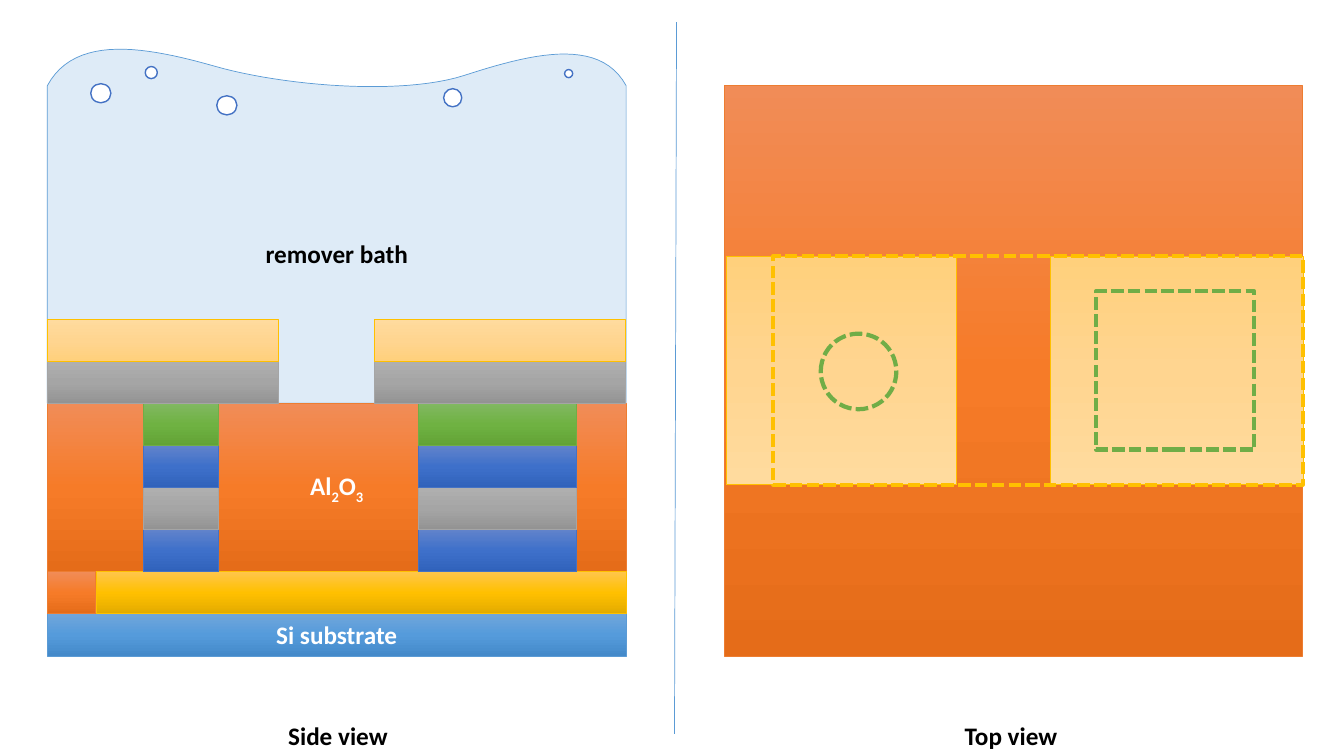
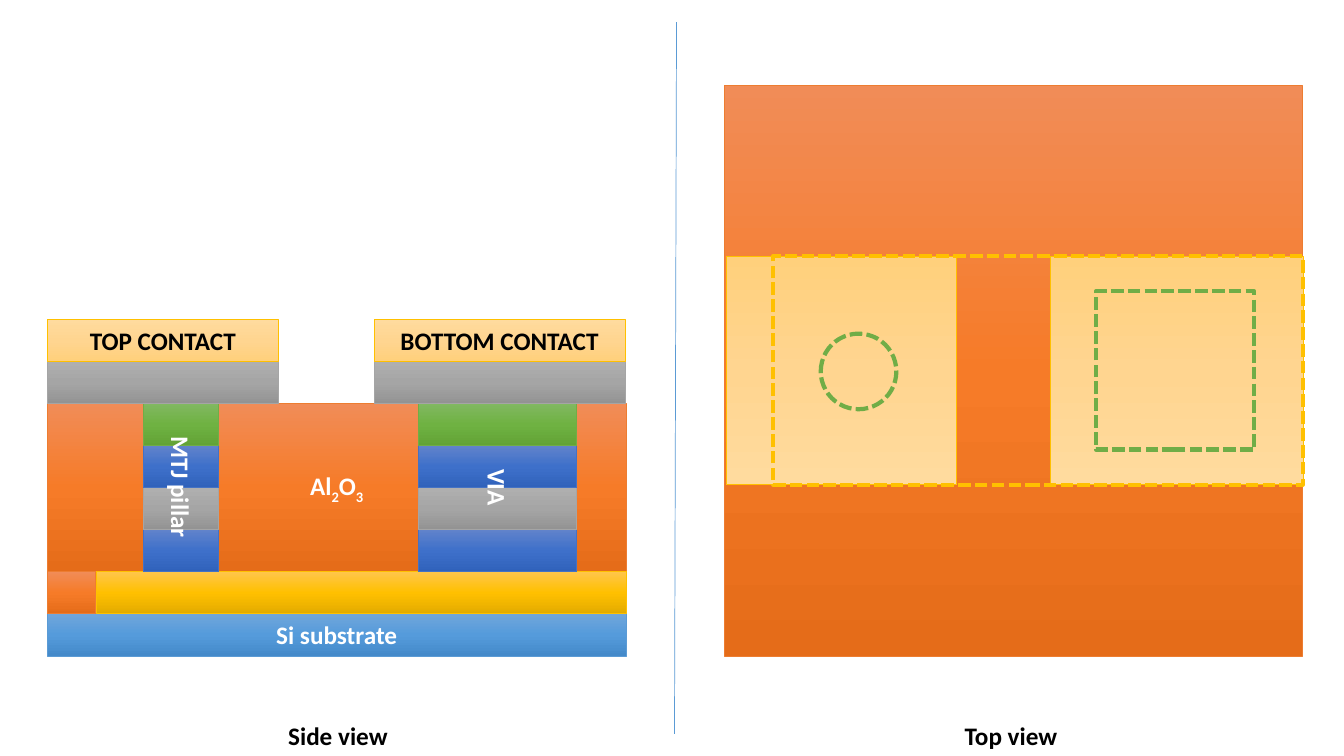
import copy

import lxml.etree
import pptx
import pptx.dml.color
import pptx.enum.dml
import pptx.enum.shapes
import pptx.enum.text
import pptx.oxml.ns
import pptx.util

Inches = pptx.util.Inches
RGB = pptx.dml.color.RGBColor
RECT = pptx.enum.shapes.MSO_SHAPE.RECTANGLE
OVAL = pptx.enum.shapes.MSO_SHAPE.OVAL

BLACK = RGB.from_string("000000")
WHITE = RGB.from_string("FFFFFF")
SKY = RGB.from_string("5B9BD5")
BATH = RGB.from_string("DEEBF7")
BLUE = RGB.from_string("4472C4")
GOLD = RGB.from_string("FFC000")
GREEN = RGB.from_string("70AD47")

MATERIALS = {
    material: (RGB.from_string(line), [RGB.from_string(stop) for stop in stops.split()])
    for material, line, stops in [
        ("substrate", "5B9BD5", "71A6DB 559BDB 448ACA"),
        ("oxide", "ED7D31", "F18C57 F67B28 E56C19"),
        ("electrode", "FFC000", "FFC64B FFC000 E3AB00"),
        ("contact", "FFC000", "FFDB9E FFD590 FFD07C"),
        ("contact above", "FFC000", "FFD07C FFD590 FFDB9E"),
        ("magnet", "4472C4", "6183CB 3E70CA 3062BB"),
        ("spacer", "A5A5A5", "AFAFAF A5A5A5 939393"),
        ("cap", "70AD47", "81B861 6FB242 62A336"),
    ]
}

SIDE_LEFT, SIDE_WIDTH = 0.47, 5.74
STACK_TOP, SUBSTRATE_TOP = 3.17, 6.09
LAYER_HEIGHT = (SUBSTRATE_TOP - STACK_TOP) / 7
CONTACT_TOP, CONTACT_DEPTH = 2.54, 2.27

PILLAR_LAYERS = ["cap", "magnet", "spacer", "magnet"]
PILLARS = [(1.42, 0.75), (4.15, 1.57)]
CONTACTS = [(SIDE_LEFT, 2.29), (3.71, 2.49)]
ALUMINA = [("Al", 0), ("2", -25000), ("O", 0), ("3", -25000)]
SIDE_LAYERS = [
    ("substrate", SIDE_LEFT, SIDE_WIDTH, 7, 1, [("Si substrate", 0)]),
    ("oxide", SIDE_LEFT, SIDE_WIDTH, 2, 4, ALUMINA),
    ("electrode", 0.96, 5.25, 6, 1, []),
    ("oxide", SIDE_LEFT, 0.48, 6, 1, []),
]
TOP_AREAS = [
    ("oxide", 7.18, 0.85, 5.74, 5.66),
    ("contact above", 10.42, CONTACT_TOP, 2.51, CONTACT_DEPTH),
    ("contact above", 7.2, CONTACT_TOP, 2.29, CONTACT_DEPTH),
]
HIDDEN_EDGES = [
    (RECT, GOLD, 7.67, CONTACT_TOP, 5.25, CONTACT_DEPTH),
    (OVAL, GREEN, 8.14, 3.31, 0.75, 0.75),
    (RECT, GREEN, 10.87, 2.89, 1.57, 1.57),
]
VIEW_LABELS = [("Side view", 2.76, 7.1, 1.19), ("Top view", 9.47, 7.1, 1.13)]
PILLAR_LABELS = [("MTJ pillar", 1.19, 4.64, 1.21), ("VIA", 4.65, 4.64, 0.57)]

BATH_START = (SIDE_LEFT, 0.85)
BATH_WAVES = [
    [(0.75, 0.33), (1.47, 0.47), (2.14, 0.66)],
    [(2.81, 0.85), (3.97, 0.95), (4.6, 0.75)],
    [(5.22, 0.55), (5.94, 0.35), (6.21, 0.85)],
]
BATH_BASE = [(6.21, 4), (SIDE_LEFT, 4)]
BUBBLES = [
    (0.9, 0.83, 0.2, 0.19),
    (1.44, 0.66, 0.12, 0.12),
    (2.15, 0.95, 0.2, 0.19),
    (4.4, 0.88, 0.18, 0.18),
    (5.6, 0.69, 0.08, 0.08),
]

SLIDES = [
    {"bath": "remover bath", "contacts": ["", ""], "pillars": []},
    {"bath": "", "contacts": ["TOP CONTACT", "BOTTOM CONTACT"], "pillars": PILLAR_LABELS},
]


def write(shape, runs, color, centered=True):
    paragraph = shape.text_frame.paragraphs[0]
    if centered:
        shape.text_frame.word_wrap = True
        shape.text_frame.vertical_anchor = pptx.enum.text.MSO_ANCHOR.MIDDLE
        paragraph.alignment = pptx.enum.text.PP_ALIGN.CENTER
    for text, baseline in runs:
        run = paragraph.add_run()
        run.text = text
        for attribute, value in {"name": "Calibri", "size": pptx.util.Pt(18), "bold": True}.items():
            setattr(run.font, attribute, value)
        run.font.color.rgb = color
        if baseline:
            run.font._element.set("baseline", str(baseline))


def outline(shape, color, width):
    shape.shadow.inherit = False
    shape.line.color.rgb = color
    shape.line.width = pptx.util.Pt(width)


def add_layer(shapes, material, *box):
    line, colors = MATERIALS[material]
    layer = shapes.add_shape(RECT, *map(Inches, box))
    layer.fill.gradient()
    layer.fill.gradient_angle = 270
    stop_list = layer._element.spPr.find(".//" + pptx.oxml.ns.qn("a:gsLst"))
    stop_list.insert(1, copy.deepcopy(stop_list[0]))
    for index, color in enumerate(colors):
        stop = layer.fill.gradient_stops[index]
        stop.position = index / 2
        stop.color.rgb = color
    outline(layer, line, 0.5)
    return layer


def add_row(shapes, material, left, width, row, rows=1):
    top = STACK_TOP + row * LAYER_HEIGHT
    return add_layer(shapes, material, left, top, width, rows * LAYER_HEIGHT)


def add_label(slide, text, left, top, width, color, rotation=0):
    label = slide.shapes.add_textbox(*map(Inches, (left, top, width, 0.4)))
    label.text_frame.word_wrap = False
    label.text_frame.auto_size = pptx.enum.text.MSO_AUTO_SIZE.SHAPE_TO_FIT_TEXT
    label.rotation = rotation
    write(label, [(text, 0)], color, centered=False)


def curve(points, steps=24):
    for step in range(1, steps + 1):
        t = step / steps
        weights = ((1 - t) ** 3, 3 * t * (1 - t) ** 2, 3 * t * t * (1 - t), t ** 3)
        yield tuple(sum(w * p[axis] for w, p in zip(weights, points)) for axis in (0, 1))


def add_bath(slide, caption):
    group = slide.shapes.add_group_shape()
    outline_points = [BATH_START]
    for wave in BATH_WAVES:
        outline_points += curve([outline_points[-1], *wave])
    start, *rest = [tuple(map(Inches, point)) for point in outline_points + BATH_BASE]
    builder = group.shapes.build_freeform(*start)
    builder.add_line_segments(rest, close=True)
    bath = builder.convert_to_shape()
    bath.fill.solid()
    bath.fill.fore_color.rgb = BATH
    outline(bath, SKY, 0.5)
    write(bath, [(caption, 0)], BLACK)
    bath.text_frame.margin_top = Inches(0.58)
    for box in BUBBLES:
        bubble = group.shapes.add_shape(OVAL, *map(Inches, box))
        bubble.fill.solid()
        bubble.fill.fore_color.rgb = WHITE
        outline(bubble, BLUE, 1)


def add_side_view(slide, contact_names):
    for material, left, width, row, rows, runs in SIDE_LAYERS:
        write(add_row(slide.shapes, material, left, width, row, rows), runs, WHITE)
    for left, width in PILLARS:
        pillar = slide.shapes.add_group_shape()
        for row, material in reversed(list(enumerate(PILLAR_LAYERS, 2))):
            add_row(pillar.shapes, material, left, width, row)
    for (left, width), name in zip(CONTACTS, contact_names):
        add_row(slide.shapes, "spacer", left, width, 1)
        contact = add_row(slide.shapes, "contact", left, width, 0)
        if name:
            write(contact, [(name, 0)], BLACK)


def add_top_view(slide):
    for material, *box in TOP_AREAS:
        add_layer(slide.shapes, material, *box)
    for form, color, *box in HIDDEN_EDGES:
        edge = slide.shapes.add_shape(form, *map(Inches, box))
        edge.fill.background()
        outline(edge, color, 3)
        edge.line.dash_style = pptx.enum.dml.MSO_LINE.SQUARE_DOT


def add_divider(slide):
    straight = pptx.enum.shapes.MSO_CONNECTOR.STRAIGHT
    divider = slide.shapes.add_connector(straight, *map(Inches, (6.71, 0.22, 6.69, 7.28)))
    divider.line.color.rgb = SKY
    divider.line.width = pptx.util.Pt(0.5)
    lxml.etree.SubElement(divider._element.spPr, pptx.oxml.ns.qn("a:effectLst"))


def main():
    deck = pptx.Presentation()
    deck.slide_width, deck.slide_height = Inches(13.33), Inches(7.5)
    for content in SLIDES:
        slide = deck.slides.add_slide(deck.slide_layouts[6])
        if content["bath"]:
            add_bath(slide, content["bath"])
        for label in VIEW_LABELS:
            add_label(slide, *label, BLACK)
        add_divider(slide)
        add_side_view(slide, content["contacts"])
        add_top_view(slide)
        for label in content["pillars"]:
            add_label(slide, *label, WHITE, rotation=90)
    deck.save("out.pptx")


if __name__ == "__main__":
    main()
